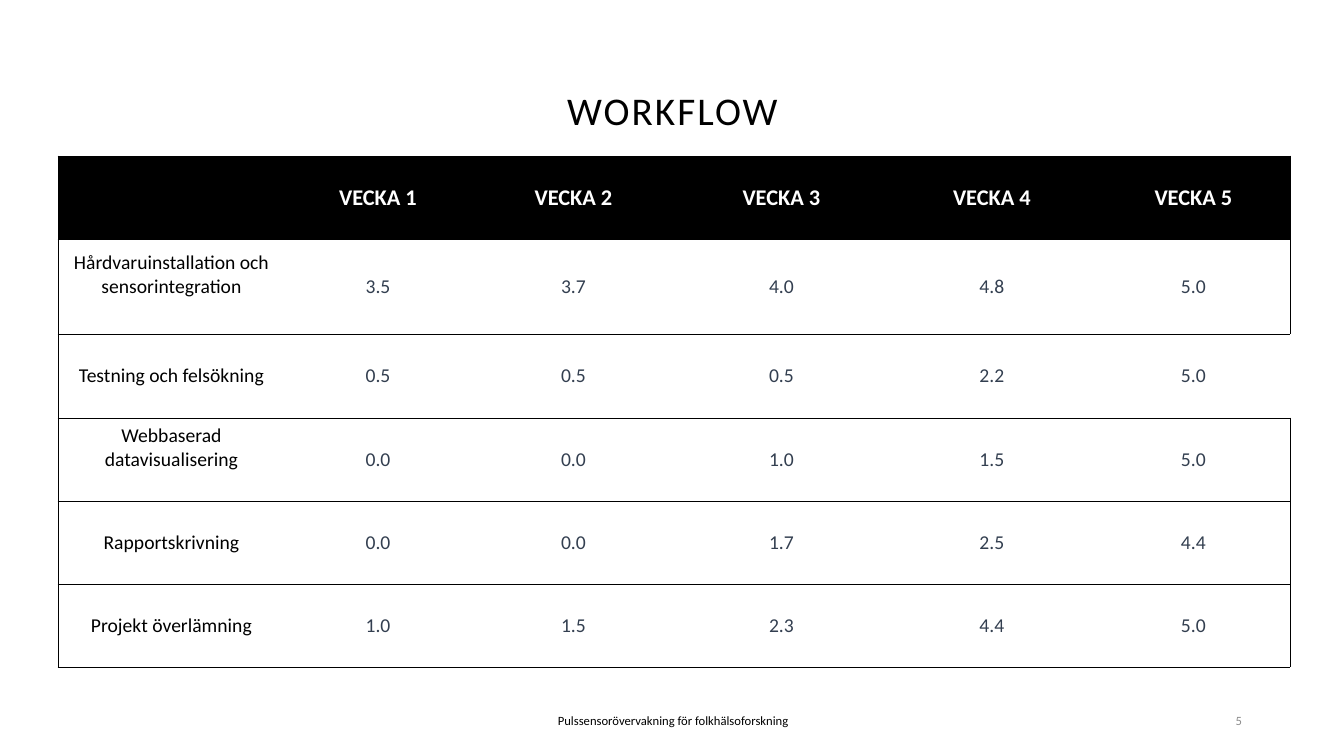
import pptx
import pptx.util
import pptx.dml.color
import pptx.enum.text
import pptx.oxml
import pptx.oxml.ns

SCALE = 914400 / 100.8
FONT = "Calibri"
COLORS = {"black": "000000", "white": "FFFFFF", "slate": "333F50", "gray": "8C8C8C"}
ALIGN = pptx.enum.text.PP_ALIGN
MIDDLE = pptx.enum.text.MSO_ANCHOR.MIDDLE

WIDTHS = [227, 186, 205, 211, 210, 193]
HEIGHTS = [83, 95, 84, 83, 83, 83]
ROWS = [
    ["", "VECKA 1", "VECKA 2", "VECKA 3", "VECKA 4", "VECKA 5"],
    ["Hårdvaruinstallation och sensorintegration", "3.5", "3.7", "4.0", "4.8", "5.0"],
    ["Testning och felsökning", "0.5", "0.5", "0.5", "2.2", "5.0"],
    ["Webbaserad datavisualisering", "0.0", "0.0", "1.0", "1.5", "5.0"],
    ["Rapportskrivning", "0.0", "0.0", "1.7", "2.5", "4.4"],
    ["Projekt överlämning", "1.0", "1.5", "2.3", "4.4", "5.0"],
]
RAISED = (1, 3)  # rows whose label sits above the middle
OPEN = 2  # row with no right edge


def px(count):
    return pptx.util.Emu(round(count * SCALE))


def rgb(name):
    return pptx.dml.color.RGBColor.from_string(COLORS[name])


def style(para, size, color, align=ALIGN.CENTER, bold=False):
    para.alignment = align
    font = para.font
    font.name, font.size, font.bold = FONT, pptx.util.Pt(size), bold
    font.color.rgb = rgb(color)


def add_text(slide, box, text, size, color, align=ALIGN.CENTER):
    frame = slide.shapes.add_textbox(*map(px, box)).text_frame
    frame.word_wrap = True
    frame.vertical_anchor = MIDDLE
    para = frame.paragraphs[0]
    para.text = text
    style(para, size, color, align)
    return para


def set_edges(cell, shown):
    props = cell._tc.get_or_add_tcPr()
    for index, side in enumerate("LRTB"):
        paint = (f'<a:solidFill><a:srgbClr val="{COLORS["black"]}"/></a:solidFill>'
                 if side in shown else "<a:noFill/>")
        edge = pptx.oxml.parse_xml(
            f'<a:ln{side} {pptx.oxml.ns.nsdecls("a")} w="6350">{paint}</a:ln{side}>')
        props.insert(index, edge)


def fill_cell(cell, row, col):
    head = row == 0
    cell.text = ROWS[row][col]
    cell.vertical_anchor = MIDDLE
    cell.fill.solid()
    cell.fill.fore_color.rgb = rgb("black" if head else "white")
    color = "white" if head else "slate" if col else "black"
    style(cell.text_frame.paragraphs[0], 16 if head else 14, color, bold=head)
    if col == 0 and row in RAISED:
        cell.margin_bottom = px(29)
    shown = "TB"
    if col == 0:
        shown += "L"
    if col == len(WIDTHS) - 1 and row != OPEN:
        shown += "R"
    set_edges(cell, shown)


def add_grid(slide, left, top):
    table = slide.shapes.add_table(
        len(ROWS), len(WIDTHS), px(left), px(top),
        px(sum(WIDTHS)), px(sum(HEIGHTS))).table
    table.horz_banding = False
    for col, width in enumerate(WIDTHS):
        table.columns[col].width = px(width)
    for row, height in enumerate(HEIGHTS):
        table.rows[row].height = px(height)
        for col in range(len(WIDTHS)):
            fill_cell(table.cell(row, col), row, col)


def main():
    deck = pptx.Presentation()
    deck.slide_width, deck.slide_height = px(1344), px(756)
    slide = deck.slides.add_slide(deck.slide_layouts[6])

    # Title
    title = add_text(slide, (93, 40, 1159, 146), "WORKFLOW", 28, "black")
    title.line_spacing = 0.9
    title.runs[0].font._element.set("spc", "150")

    # Weekly table
    add_grid(slide, 58, 156)

    # Footer
    add_text(slide, (446, 701, 454, 40),
             "Pulssensorövervakning för folkhälsoforskning", 9, "black")
    add_text(slide, (950, 701, 302, 40), "5", 9, "gray", ALIGN.RIGHT)

    deck.save("out.pptx")


if __name__ == "__main__":
    main()
